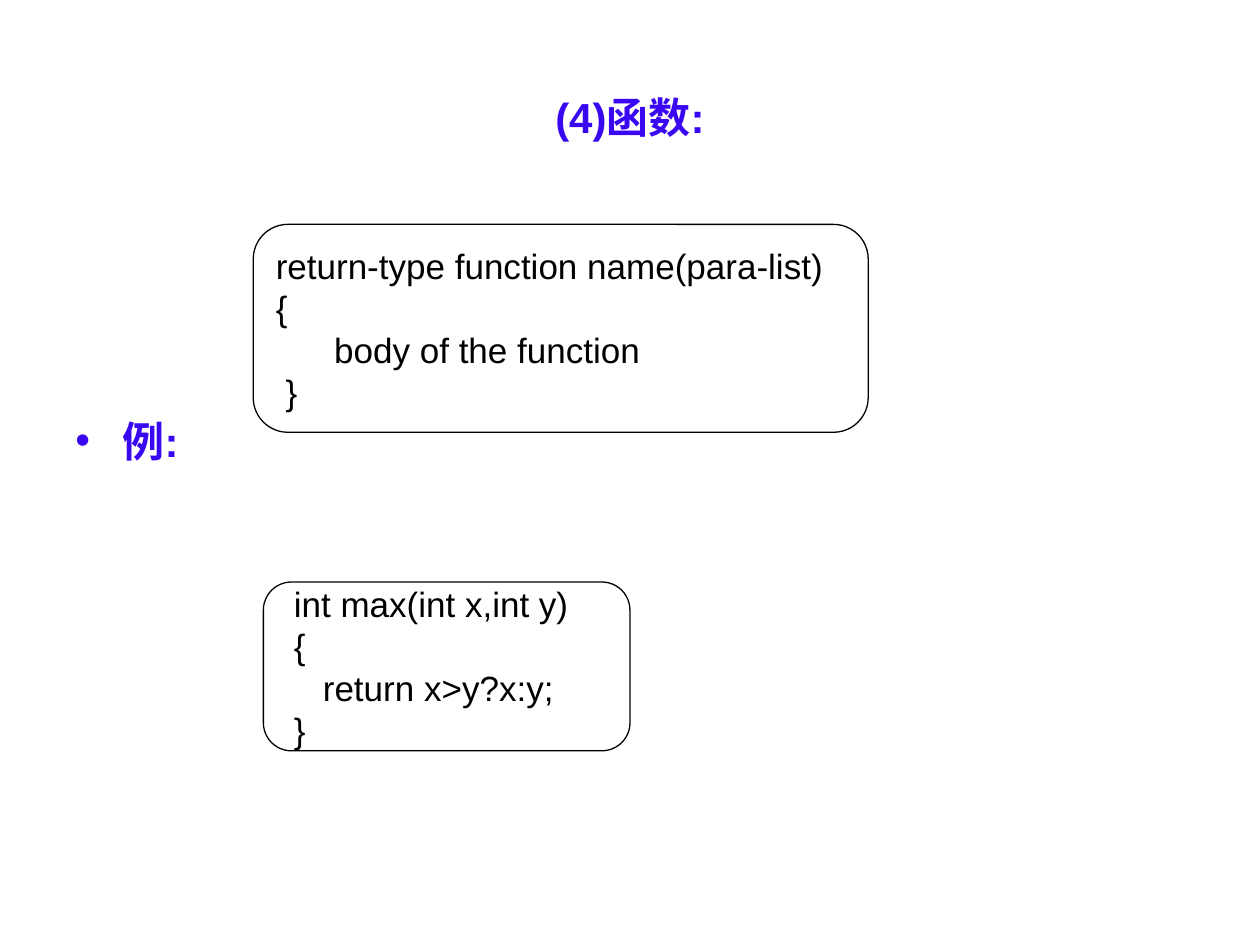
"""Build a slide on the syntax of functions, with an example."""
from pptx import Presentation
from pptx.dml.color import RGBColor
from pptx.enum.shapes import MSO_SHAPE
from pptx.enum.text import MSO_ANCHOR, PP_ALIGN
from pptx.util import Pt
from lxml import etree

ROUND_RECT = MSO_SHAPE.ROUNDED_RECTANGLE
TOP, MIDDLE = MSO_ANCHOR.TOP, MSO_ANCHOR.MIDDLE
LEFT, CENTER = PP_ALIGN.LEFT, PP_ALIGN.CENTER
COLORS = {"heading": "3907F1", "code": "000000", "box": "FFFFFF"}
A = "{http://schemas.openxmlformats.org/drawingml/2006/main}"


def add_line(p, text, size, color, bold, align):
    p.alignment = align
    r = p.add_run()
    r.text = text
    for name, value in {"name": "Arial", "size": Pt(size), "bold": bold}.items():
        setattr(r.font, name, value)
    r.font.color.rgb = RGBColor.from_string(COLORS[color])


prs = Presentation()
prs.slide_width, prs.slide_height = Pt(720), Pt(540)
s = prs.slides.add_slide(prs.slide_layouts[6])

headings = [
    ("(4)函数:".translate(str.maketrans("(4):", "(4):")), 21.6, 90, MIDDLE, 3.6, CENTER),
    ("例:", 126, 356.4, TOP, 117, LEFT),
]
for text, top, height, anchor, margin_top, align in headings:
    tf = s.shapes.add_textbox(Pt(36), Pt(top), Pt(648), Pt(height)).text_frame
    frame = {"word_wrap": True, "vertical_anchor": anchor, "margin_top": Pt(margin_top)}
    for name, value in frame.items():
        setattr(tf, name, value)
    add_line(tf.paragraphs[0], text, 24, "heading", True, align)

p = tf.paragraphs[0]
p.line_spacing = 0.8
pPr = p._p.get_or_add_pPr()
pPr.set("marL", str(Pt(27)))
pPr.set("indent", str(Pt(-27)))
etree.SubElement(pPr, A + "buFont", typeface="Arial")
etree.SubElement(pPr, A + "buChar", char="•")

code_boxes = [
    (144.7, 128.2, 351.4, 118.8, [
        ("return-type function name(para-list)", 0), ("{", 0),
        ("body of the function", 33.4), ("}", 5.6)]),
    (150.5, 332.6, 209.5, 96.5, [
        ("int max(int x,int y)", 5.6), ("{", 5.6),
        ("return x>y?x:y;", 22.2), ("}", 5.6)]),
]
for left, top, width, height, lines in code_boxes:
    sp = s.shapes.add_shape(ROUND_RECT, Pt(left), Pt(top), Pt(width), Pt(height))
    sp.shadow.inherit = False
    sp.fill.solid()
    sp.fill.fore_color.rgb = RGBColor.from_string(COLORS["box"])
    sp.line.color.rgb = RGBColor.from_string(COLORS["code"])
    sp.line.width = Pt(0.75)
    tf = sp.text_frame
    tf.word_wrap = True
    tf.vertical_anchor = MIDDLE
    for i, (text, indent) in enumerate(lines):
        p = tf.add_paragraph() if i else tf.paragraphs[0]
        add_line(p, text, 20, "code", False, LEFT)
        p._p.get_or_add_pPr().set("marL", str(Pt(indent)))

prs.save("out.pptx")
